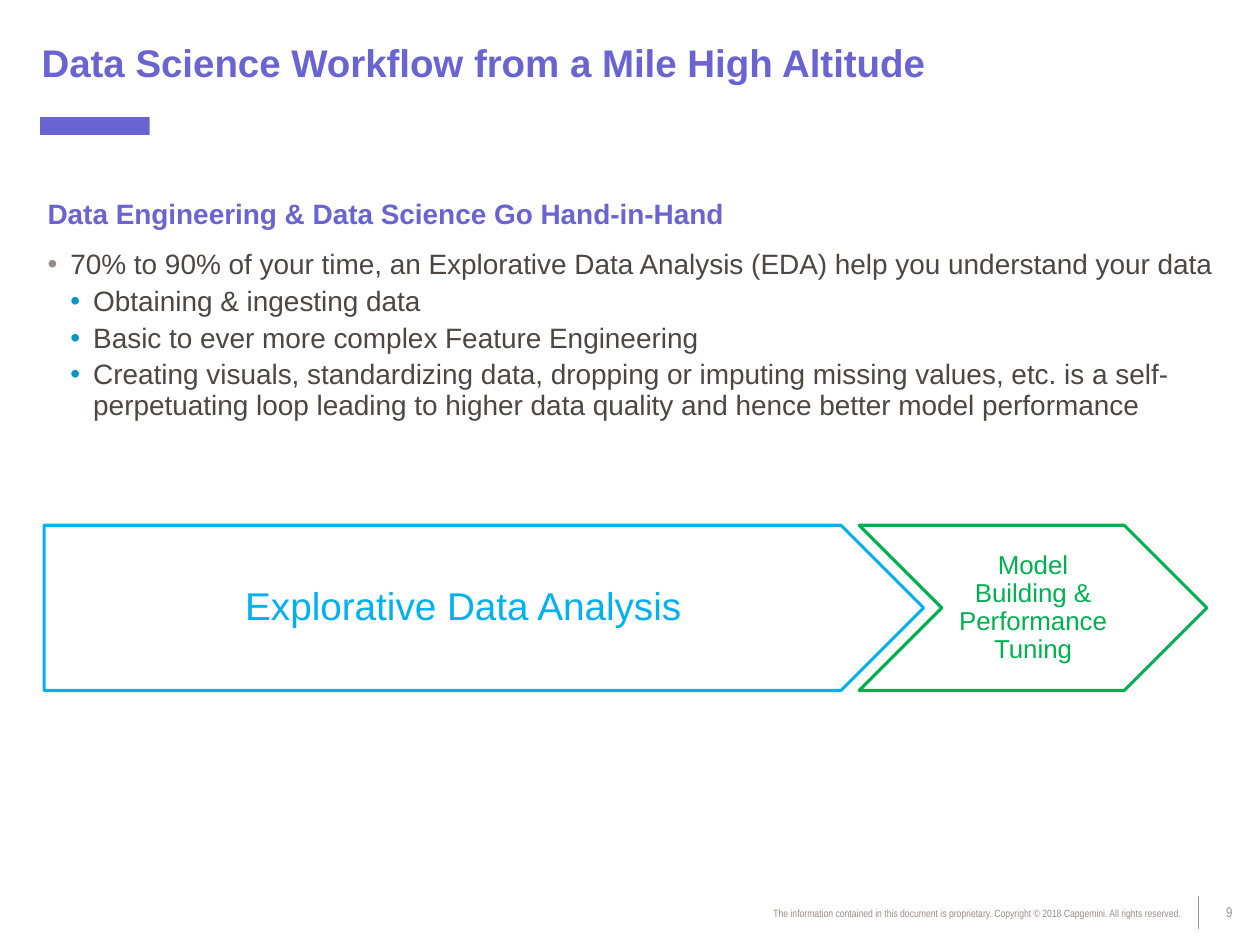
from lxml.etree import SubElement
from pptx import Presentation
from pptx.dml.color import RGBColor
from pptx.enum.shapes import MSO_CONNECTOR, MSO_SHAPE
from pptx.enum.text import MSO_ANCHOR, PP_ALIGN
from pptx.oxml.ns import qn
from pptx.util import Cm, Pt

COLORS = {
    "violet": "6964D1",
    "text": "4E4641",
    "taupe": "998C85",
    "bullet": "0098C7",
    "gray": "969696",
    "blue": "00B0F0",
    "green": "00B050",
    "white": "FFFFFF",
}
BULLET_INDENT = 0.46


class SlideBuilder:
    font = "Arial"
    narrow_font = "Arial Narrow"
    spacing = 0.9

    def __init__(self, slide):
        self.slide = slide

    def color(self, name):
        return RGBColor.from_string(COLORS[name])

    def style(self, paragraph, size, color, bold=False, font=None,
              spacing=None, align=PP_ALIGN.LEFT):
        paragraph.alignment = align
        paragraph.line_spacing = spacing or self.spacing
        paragraph.font.name = font or self.font
        paragraph.font.size = Pt(size)
        paragraph.font.bold = bold
        paragraph.font.color.rgb = self.color(color)

    def frame(self, left, top, width, height, anchor=MSO_ANCHOR.TOP):
        box = self.slide.shapes.add_textbox(
            Cm(left), Cm(top), Cm(width), Cm(height))
        frame = box.text_frame
        frame.word_wrap = True
        frame.vertical_anchor = anchor
        return frame

    def text(self, area, words, size, color, anchor=MSO_ANCHOR.TOP, **style):
        frame = self.frame(*area, anchor)
        frame.text = words
        self.style(frame.paragraphs[0], size, color, **style)
        return frame

    def bullets(self, area, items, size, color):
        frame = self.frame(*area)
        for index, (level, bullet_color, words) in enumerate(items):
            paragraph = frame.paragraphs[0] if index == 0 else frame.add_paragraph()
            paragraph.text = words
            paragraph.level = level
            paragraph.space_after = Pt(3.7)
            paragraph.line_spacing = self.spacing
            properties = paragraph._p.get_or_add_pPr()
            properties.set("marL", str(Cm(BULLET_INDENT * (level + 1))))
            properties.set("indent", str(-Cm(BULLET_INDENT)))
            bullet = SubElement(properties, qn("a:buClr"))
            SubElement(bullet, qn("a:srgbClr"), val=COLORS[bullet_color])
            SubElement(properties, qn("a:buFont"), typeface=self.font)
            SubElement(properties, qn("a:buChar"), char="•")
            self.style(paragraph, size, color)

    def shape(self, kind, area, fill):
        shape = self.slide.shapes.add_shape(kind, *map(Cm, area))
        shape.shadow.inherit = False
        shape.fill.solid()
        shape.fill.fore_color.rgb = self.color(fill)
        return shape

    def bar(self, area, fill):
        self.shape(MSO_SHAPE.RECTANGLE, area, fill).line.fill.background()

    def stage(self, kind, area, words, size, color):
        stage = self.shape(kind, area, "white")
        fill_color = stage.fill._xPr.find(qn("a:solidFill"))[0]
        SubElement(fill_color, qn("a:alpha"), val="5000")
        stage.line.color.rgb = self.color(color)
        stage.line.width = Pt(1.75)
        frame = stage.text_frame
        frame.word_wrap = True
        frame.vertical_anchor = MSO_ANCHOR.MIDDLE
        frame.text = words
        self.style(frame.paragraphs[0], size, color, align=PP_ALIGN.CENTER)

    def rule(self, x, top, bottom, color):
        rule = self.slide.shapes.add_connector(
            MSO_CONNECTOR.STRAIGHT, Cm(x), Cm(top), Cm(x), Cm(bottom))
        rule.line.color.rgb = self.color(color)
        rule.line.width = Pt(0.75)
        SubElement(rule._element.spPr, qn("a:effectLst"))


def main():
    presentation = Presentation()
    presentation.slide_width = Cm(25.4)
    presentation.slide_height = Cm(19.05)
    builder = SlideBuilder(
        presentation.slides.add_slide(presentation.slide_layouts[6]))

    builder.bar((0.81, 2.36, 2.21, 0.36), "violet")
    builder.rule(24.16, 18.06, 18.72, "gray")
    builder.text((24.16, 18.06, 1.24, 0.69), "9", 8, "gray", MSO_ANCHOR.MIDDLE,
                 font=builder.narrow_font, spacing=0.85, align=PP_ALIGN.CENTER)
    builder.text((11.4, 18.19, 12.65, 0.48),
                 "The information contained in this document is proprietary. "
                 "Copyright © 2018 Capgemini. All rights reserved.",
                 6, "taupe", font=builder.narrow_font, spacing=0.85,
                 align=PP_ALIGN.RIGHT)

    title = builder.text((0, -0.08, 25.4, 2.79),
                         "Data Science Workflow from a Mile High Altitude",
                         22, "violet", MSO_ANCHOR.MIDDLE, bold=True)
    title.margin_left = Cm(0.84)
    title.margin_right = Cm(0.46)
    title.margin_top = title.margin_bottom = Cm(0.1)

    builder.text((0.71, 3.91, 24, 0.86),
                 "Data Engineering & Data Science Go Hand-in-Hand",
                 16, "violet", bold=True)
    builder.bullets((0.71, 4.93, 24, 12.4), [
        (0, "taupe", "70% to 90% of your time, an Explorative Data Analysis (EDA) "
                     "help you understand your data"),
        (1, "bullet", "Obtaining & ingesting data"),
        (1, "bullet", "Basic to ever more complex Feature Engineering"),
        (1, "bullet", "Creating visuals, standardizing data, dropping or imputing "
                      "missing values, etc. is a self-perpetuating loop leading to "
                      "higher data quality and hence better model performance"),
    ], 16, "text")

    builder.stage(MSO_SHAPE.PENTAGON, (0.89, 10.59, 17.73, 3.33),
                  "Explorative Data Analysis", 22.1, "blue")
    builder.stage(MSO_SHAPE.CHEVRON, (17.32, 10.59, 7.01, 3.33),
                  "Model Building & Performance Tuning", 14.8, "green")

    presentation.save("out.pptx")


if __name__ == "__main__":
    main()
